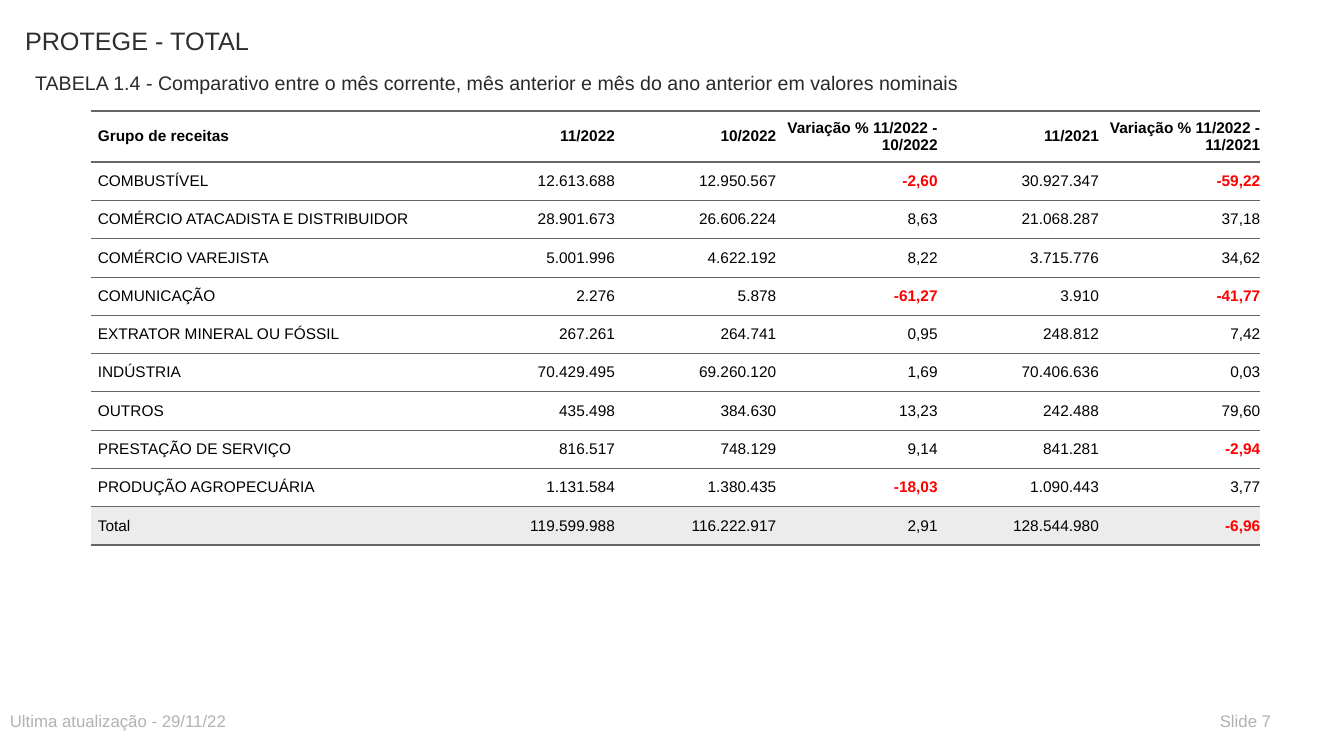
from lxml.etree import SubElement
from pptx import Presentation
from pptx.dml.color import RGBColor
from pptx.enum.text import MSO_ANCHOR, PP_ALIGN
from pptx.oxml import parse_xml
from pptx.oxml.ns import nsdecls, qn
from pptx.util import Inches, Pt


def style(font, size, color, bold=False):
    values = {"name": "Arial", "size": Pt(size), "bold": bold}
    for key, value in values.items():
        setattr(font, key, value)
    font.color.rgb = RGBColor.from_string(color)


def border(cell, side, width):
    """Draw one grey edge of a cell; side is T or B, width is in points."""
    line = parse_xml(
        f'<a:ln{side} {nsdecls("a")} w="{Pt(width)}"><a:solidFill>'
        f'<a:srgbClr val="666666"/></a:solidFill></a:ln{side}>')
    props = cell._tc.get_or_add_tcPr()
    props.insert(0 if side == "T" else 1, line)


deck = Presentation()
deck.slide_width = Inches(13.33)
deck.slide_height = Inches(7.5)
slide = deck.slides.add_slide(deck.slide_layouts[6])

labels = [
    ("PROTEGE - TOTAL", 0.15, 0.2, 8, 0.59, 18, "2D2E2D"),
    ("TABELA 1.4 - Comparativo entre o mês corrente, mês anterior e mês do "
     "ano anterior em valores nominais", 0.25, 0.65, 10, 0.3, 14, "292929"),
    ("Ultima atualização - 29/11/22", 0, 7, 6.5, 0.3, 12, "B2B2B2"),
    ("Slide 7", 12, 7, 0.9, 0.3, 12, "B2B2B2"),
]
for text, left, top, width, height, size, color in labels:
    box = slide.shapes.add_textbox(
        Inches(left), Inches(top), Inches(width), Inches(height))
    frame = box.text_frame
    frame.word_wrap = True
    frame.text = text
    style(frame.paragraphs[0].runs[0].font, size, color)

data = [
    ("Grupo de receitas", "11/2022", "10/2022", "Variação % 11/2022 - 10/2022",
     "11/2021", "Variação % 11/2022 - 11/2021"),
    ("COMBUSTÍVEL", "12.613.688", "12.950.567", "-2,60", "30.927.347", "-59,22"),
    ("COMÉRCIO ATACADISTA E DISTRIBUIDOR", "28.901.673", "26.606.224", "8,63",
     "21.068.287", "37,18"),
    ("COMÉRCIO VAREJISTA", "5.001.996", "4.622.192", "8,22", "3.715.776", "34,62"),
    ("COMUNICAÇÃO", "2.276", "5.878", "-61,27", "3.910", "-41,77"),
    ("EXTRATOR MINERAL OU FÓSSIL", "267.261", "264.741", "0,95", "248.812", "7,42"),
    ("INDÚSTRIA", "70.429.495", "69.260.120", "1,69", "70.406.636", "0,03"),
    ("OUTROS", "435.498", "384.630", "13,23", "242.488", "79,60"),
    ("PRESTAÇÃO DE SERVIÇO", "816.517", "748.129", "9,14", "841.281", "-2,94"),
    ("PRODUÇÃO AGROPECUÁRIA", "1.131.584", "1.380.435", "-18,03", "1.090.443", "3,77"),
    ("Total", "119.599.988", "116.222.917", "2,91", "128.544.980", "-6,96"),
]
last = len(data) - 1
widths = [3.6] + [1.6] * 5
heights = [0.48] + [0.38] * last
rules = [2, 2] + [0.5] * (last - 1) + [2]

table = slide.shapes.add_table(
    len(data), len(widths), Inches(0.9), Inches(1.1),
    Inches(sum(widths)), Inches(sum(heights))).table
table.horz_banding = False
# Table style without fills or grid
table._tbl.tblPr.find(qn("a:tableStyleId")).text = (
    "{2D5ABB26-0587-4C30-8999-92F81FD0307C}")
for column, width in zip(table.columns, widths):
    column.width = Inches(width)

layout = {
    "vertical_anchor": MSO_ANCHOR.MIDDLE,
    "margin_left": 0,
    "margin_top": Inches(0.07),
    "margin_right": 0,
    "margin_bottom": Inches(0.07),
}
for r, values in enumerate(data):
    table.rows[r].height = Inches(heights[r])
    for c, text in enumerate(values):
        cell = table.cell(r, c)
        cell.text = text
        for key, value in layout.items():
            setattr(cell, key, value)
        cell.fill.solid()
        cell.fill.fore_color.rgb = RGBColor.from_string(
            "ECECEC" if r == last else "FFFFFF")
        border(cell, "T", rules[r])
        border(cell, "B", rules[r + 1])
        para = cell.text_frame.paragraphs[0]
        para.alignment = PP_ALIGN.RIGHT if c else PP_ALIGN.LEFT
        para._p.get_or_add_pPr().set("marL", str(Inches(0.07)))
        loss = text.startswith("-")
        style(para.runs[0].font, 11, "FF0000" if loss else "000000", loss or r == 0)

deck.save("out.pptx")
